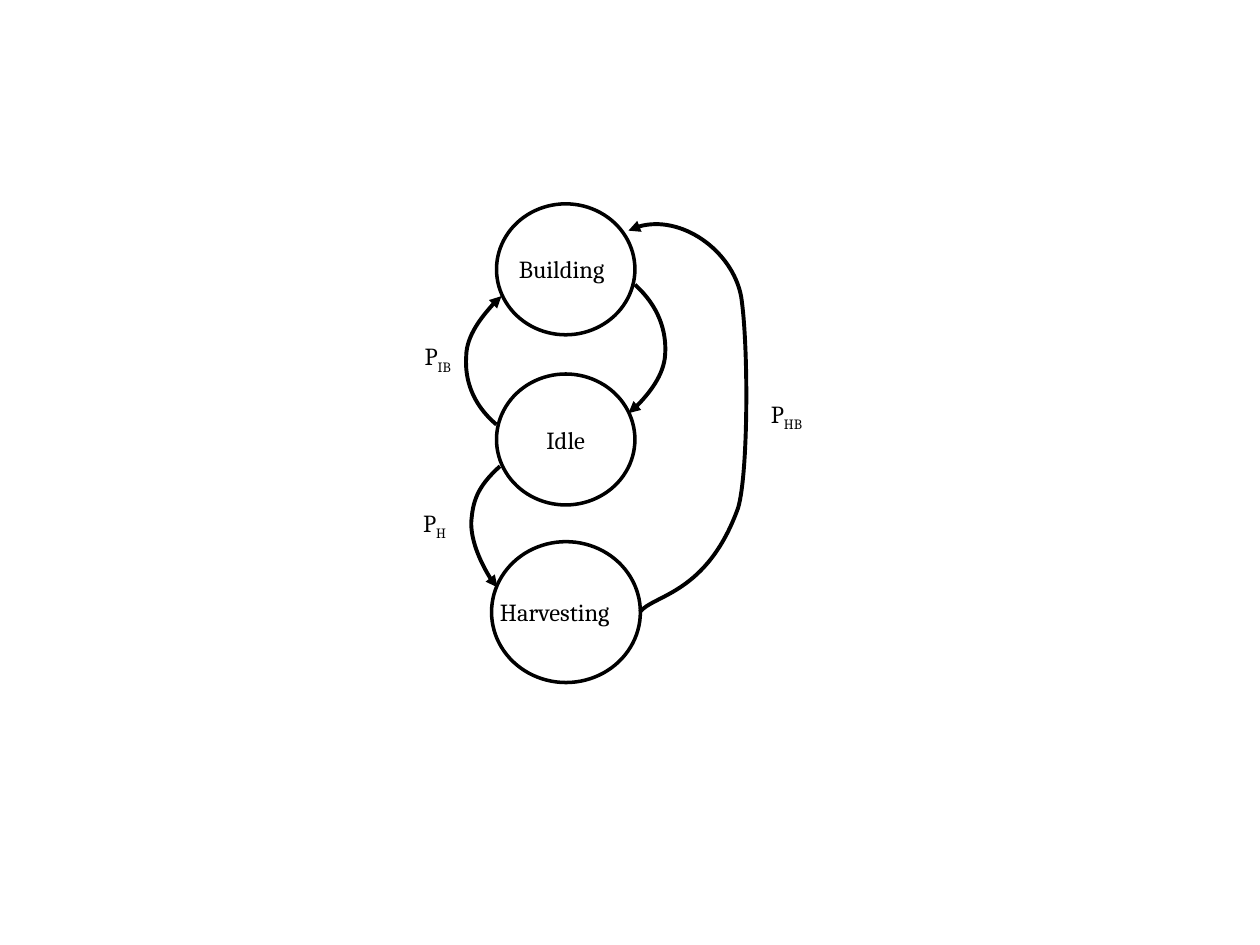
from lxml import etree
from pptx import Presentation
from pptx import util as u
from pptx.dml import color
from pptx.enum import shapes, text
from pptx.oxml import ns

INK, PAPER = "000000", "FFFFFF"

STATES = [
    ("", 1.91, 6.92, 3.0, 2.84),
    ("Idle", 2.01, 3.54, 2.79, 2.64),
    ("", 2.01, 0.11, 2.79, 2.64),
]
TRANSITIONS = [
    [(4.8, 1.74), (5.28, 2.17), (5.44, 2.68), (5.41, 3.14),
     (5.39, 3.57), (4.88, 4.2), (4.67, 4.33)],
    [(4.9, 8.34), (5.16, 7.99), (6.25, 7.99), (6.88, 6.24), (7.09, 5.53),
     (7.09, 2.91), (6.94, 1.97), (6.76, 1.05), (5.56, 0.19), (4.67, 0.65)],
    [(2.01, 4.56), (1.5, 4.13), (1.37, 3.62), (1.4, 3.19),
     (1.4, 2.76), (1.93, 2.1), (2.11, 1.97)],
    [(2.08, 5.4), (1.6, 5.83), (1.53, 6.13), (1.5, 6.54),
     (1.5, 6.95), (1.86, 7.71), (2.03, 7.84)],
]
LABELS = [
    ("Harvesting", "", 1.83, 7.91, 3.12),
    ("Building", "", 2.21, 1.0, 2.59),
    ("P", "IB", 0.31, 2.76, 1.22),
    ("P", "H", 0.28, 6.11, 1.12),
    ("P", "HB", 7.29, 3.92, 1.37),
]


def rgb(value):
    """Turn a hex string into a colour."""
    return color.RGBColor.from_string(value)


def apply(target, values):
    """Set every attribute named in a dict of format values."""
    for name, value in values.items():
        setattr(target, name, value)


def outline(shape, width):
    """Give a shape a plain line without a shadow."""
    shape.shadow.inherit = False
    shape.line.color.rgb = rgb(INK)
    shape.line.width = u.Pt(width)


def add_span(para, wording, subscript=False):
    """Append a span of diagram text to a paragraph."""
    span = para.add_run()
    span.text = wording
    apply(span.font, {"name": "Cambria", "size": u.Pt(14)})
    span.font.color.rgb = rgb(INK)
    if subscript:
        span.font._element.set("baseline", "-25000")


def add_state(page, box, wording, left, top, width, height):
    """Draw one state as a circle."""
    circle = page.shapes.add_shape(
        shapes.MSO_SHAPE.OVAL, box[0] + u.Cm(left), box[1] + u.Cm(top),
        u.Cm(width), u.Cm(height))
    outline(circle, 2)
    circle.fill.solid()
    circle.fill.fore_color.rgb = rgb(PAPER)
    if wording:
        circle.text_frame.vertical_anchor = text.MSO_ANCHOR.MIDDLE
        para = circle.text_frame.paragraphs[0]
        para.alignment = text.PP_ALIGN.CENTER
        add_span(para, wording)


def add_transition(page, box, points):
    """Draw a Bézier arrow through a start and triples of control points."""
    start, *rest = [(box[0] + u.Cm(x), box[1] + u.Cm(y)) for x, y in points]
    builder = page.shapes.build_freeform(*start)
    builder.add_line_segments(rest, close=False)
    curve = builder.convert_to_shape()
    outline(curve, 2.25)
    curve.fill.background()
    segments = list(curve.element.iter(ns.qn("a:lnTo")))
    for first, second, third in zip(*[iter(segments)] * 3):
        bezier = etree.Element(ns.qn("a:cubicBezTo"))
        first.addprevious(bezier)
        for segment in (first, second, third):
            bezier.append(segment[0])
            segment.getparent().remove(segment)
    line = curve.line._get_or_add_ln()
    etree.SubElement(line, ns.qn("a:tailEnd"), type="triangle")


def add_label(page, box, wording, subscript, left, top, width):
    """Place one label with an optional subscript."""
    label = page.shapes.add_textbox(
        box[0] + u.Cm(left), box[1] + u.Cm(top), u.Cm(width), u.Cm(0.86))
    apply(label.text_frame, {
        "word_wrap": False,
        "auto_size": text.MSO_AUTO_SIZE.SHAPE_TO_FIT_TEXT,
    })
    para = label.text_frame.paragraphs[0]
    add_span(para, wording)
    if subscript:
        add_span(para, subscript, True)


def add_state_diagram(page, box):
    """Draw the states, transitions and labels from the box's corner."""
    for state in STATES:
        add_state(page, box, *state)
    for points in TRANSITIONS:
        add_transition(page, box, points)
    for label in LABELS:
        add_label(page, box, *label)


def main():
    """Build and save the deck."""
    deck = Presentation()
    apply(deck, {"slide_width": u.Cm(25.4), "slide_height": u.Cm(19.05)})
    page = deck.slides.add_slide(deck.slide_layouts[6])
    add_state_diagram(page, (u.Cm(8), u.Cm(4)))
    deck.save("out.pptx")


if __name__ == "__main__":
    main()
